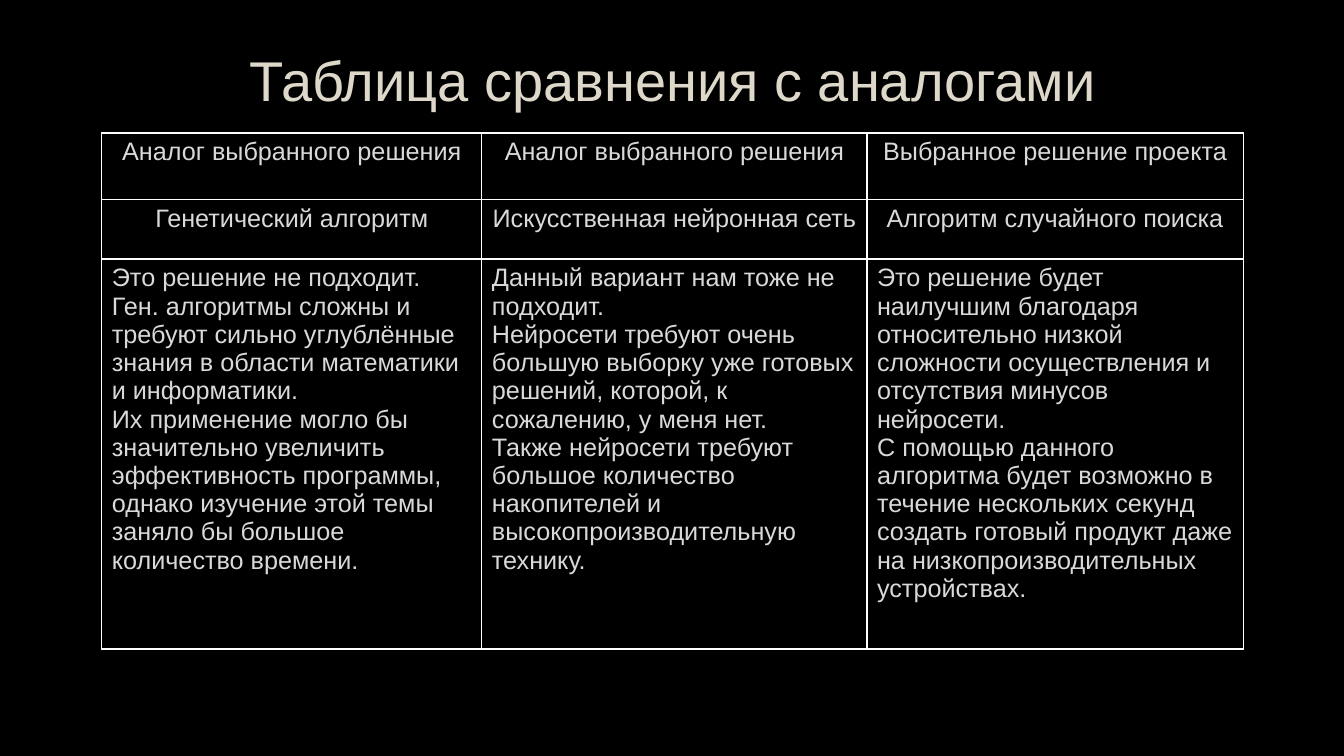
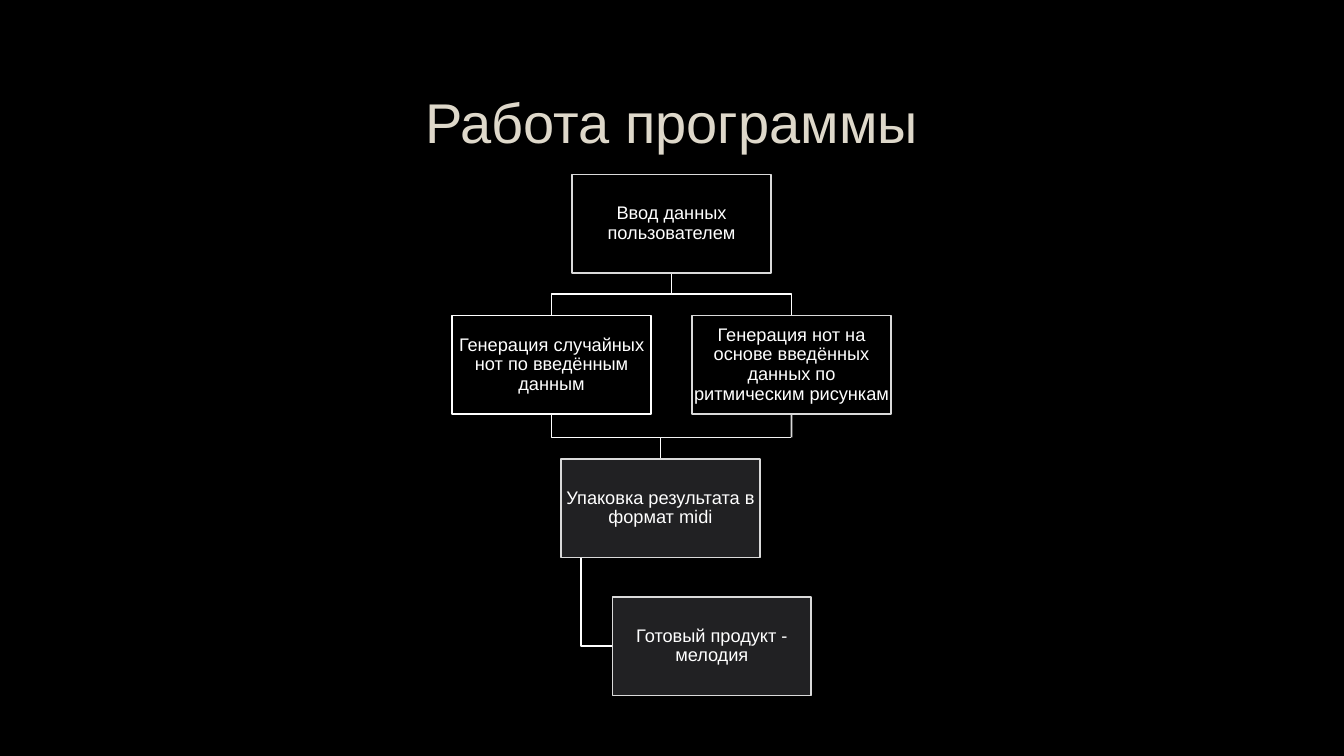
import pptx
import pptx.dml.color
import pptx.enum.shapes
import pptx.enum.text
import pptx.oxml
import pptx.oxml.ns
import pptx.util
from pptx.util import Inches

FONT = "Arial"
BLACK, WHITE = "000000", "FFFFFF"
TITLE_COLOR, CELL_COLOR = "DED8CA", "D9D9D9"
BOX_LINE, BOX_FILL = "DADADA", "212123"
MERGE_LINE, MERGE_DROP = "F2F2F2", "D9D9D9"
LINE_WIDTH = 1.25
BOTTOM = 2
CENTER = pptx.enum.text.PP_ALIGN.CENTER

COMPARISON_TITLE = "Таблица сравнения с аналогами"
COLUMN_WIDTHS = (3.77, 3.82, 3.73)
ROW_HEIGHTS = (0.66, 0.59, 3.87)
HEADER_ROWS = 2
COMPARISON = [
    [["Аналог выбранного решения"], ["Аналог выбранного решения"], ["Выбранное решение проекта"]],
    [["Генетический алгоритм"], ["Искусственная нейронная сеть"], ["Алгоритм случайного поиска"]],
    [
        [
            "Это решение не подходит.",
            "Ген. алгоритмы сложны и требуют сильно углублённые знания в области "
            "математики и информатики.",
            "Их применение могло бы значительно увеличить эффективность программы, "
            "однако изучение этой темы заняло бы большое количество времени.",
        ],
        [
            "Данный вариант нам тоже не подходит.",
            "Нейросети требуют очень большую выборку уже готовых решений, которой, "
            "к сожалению, у меня нет.",
            "Также нейросети требуют большое количество накопителей и "
            "высокопроизводительную технику.",
        ],
        [
            "Это решение будет наилучшим благодаря относительно низкой сложности "
            "осуществления и отсутствия минусов нейросети.",
            "С помощью данного алгоритма будет возможно в течение нескольких секунд "
            "создать готовый продукт даже на низкопроизводительных устройствах.",
        ],
    ],
]

WORKFLOW_TITLE = "Работа программы"
BOX_WIDTH, BOX_HEIGHT = 1.97, 0.98
# name: (text, centre x, top, fill, line)
STEPS = {
    "input": ("Ввод данных пользователем", 6.66, 1.73, None, BOX_LINE),
    "random": ("Генерация случайных нот по введённым данным", 5.47, 3.13, None, WHITE),
    "rhythm": ("Генерация нот на основе введённых данных по ритмическим рисункам",
               7.85, 3.13, None, BOX_LINE),
    "packing": ("Упаковка результата в формат midi", 6.55, 4.55, BOX_FILL, BOX_LINE),
    "melody": ("Готовый продукт - мелодия", 7.06, 5.92, BOX_FILL, BOX_LINE),
}
# upper box, height of the horizontal part, lower box
BENT_LINKS = [
    ("input", 2.92, "rhythm"),
    ("input", 2.92, "random"),
    ("random", 4.34, "packing"),
]
MERGE_Y = 4.34
MELODY_LINK_X = 5.76


def rgb(value):
    return pptx.dml.color.RGBColor.from_string(value)


def write_paragraphs(frame, texts, size, color, alignment=None, line_spacing=None):
    frame.word_wrap = True
    for index, text in enumerate(texts):
        paragraph = frame.add_paragraph() if index else frame.paragraphs[0]
        paragraph.alignment = alignment
        if line_spacing:
            paragraph.line_spacing = line_spacing
        run = paragraph.add_run()
        run.text = text
        run.font.name = FONT
        run.font.size = pptx.util.Pt(size)
        run.font.color.rgb = rgb(color)


def set_line(shape, color):
    shape.line.color.rgb = rgb(color)
    shape.line.width = pptx.util.Pt(LINE_WIDTH)


def add_titled_slide(presentation, title, left, top):
    slide = presentation.slides.add_slide(presentation.slide_layouts[6])
    box = slide.shapes.add_textbox(Inches(left), Inches(top), Inches(11.32), Inches(1.06))
    box.text_frame.vertical_anchor = pptx.enum.text.MSO_ANCHOR.MIDDLE
    write_paragraphs(box.text_frame, [title], 40, TITLE_COLOR, CENTER)
    return slide


def set_borders(cell, color, width):
    properties = cell._tc.get_or_add_tcPr()
    for side in ("lnL", "lnR", "lnT", "lnB"):
        properties.append(pptx.oxml.parse_xml(
            f'<a:{side} {pptx.oxml.ns.nsdecls("a")} w="{pptx.util.Pt(width)}">'
            f'<a:solidFill><a:srgbClr val="{color}"/></a:solidFill></a:{side}>'))


def add_comparison_table(slide):
    table = slide.shapes.add_table(
        len(ROW_HEIGHTS), len(COLUMN_WIDTHS), Inches(1.01), Inches(1.32),
        Inches(sum(COLUMN_WIDTHS)), Inches(sum(ROW_HEIGHTS))).table
    table.first_row = table.horz_banding = False
    for column, width in zip(table.columns, COLUMN_WIDTHS):
        column.width = Inches(width)
    for row_index, (row, height) in enumerate(zip(table.rows, ROW_HEIGHTS)):
        row.height = Inches(height)
        alignment = CENTER if row_index < HEADER_ROWS else None
        for cell, texts in zip(row.cells, COMPARISON[row_index]):
            set_borders(cell, WHITE, 1)
            cell.fill.background()
            write_paragraphs(cell.text_frame, texts, 18, CELL_COLOR, alignment)


def add_step(slide, text, center_x, top, fill, line):
    shape = slide.shapes.add_shape(
        pptx.enum.shapes.MSO_SHAPE.RECTANGLE, Inches(center_x - BOX_WIDTH / 2), Inches(top),
        Inches(BOX_WIDTH), Inches(BOX_HEIGHT))
    shape.shadow.inherit = False
    if fill:
        shape.fill.solid()
        shape.fill.fore_color.rgb = rgb(fill)
    else:
        shape.fill.background()
    set_line(shape, line)
    frame = shape.text_frame
    frame.margin_left = frame.margin_right = Inches(0.01)
    frame.margin_top = frame.margin_bottom = Inches(0.01)
    frame.vertical_anchor = pptx.enum.text.MSO_ANCHOR.MIDDLE
    write_paragraphs(frame, [text], 13, WHITE, CENTER, 0.9)
    return shape


def add_bent_line(slide, points):
    start, *corners = [(Inches(x), Inches(y)) for x, y in points]
    builder = slide.shapes.build_freeform(*start)
    builder.add_line_segments(corners, close=False)
    shape = builder.convert_to_shape()
    shape.shadow.inherit = False
    shape.fill.background()
    set_line(shape, WHITE)


def add_straight_line(slide, start, end, color):
    connector = slide.shapes.add_connector(
        pptx.enum.shapes.MSO_CONNECTOR.STRAIGHT, *map(Inches, start + end))
    set_line(connector, color)
    connector._element.spPr.append(
        pptx.oxml.parse_xml(f'<a:effectLst {pptx.oxml.ns.nsdecls("a")}/>'))
    return connector


def top_middle(name):
    _, center_x, top, _, _ = STEPS[name]
    return center_x, top


def bottom_middle(name):
    center_x, top = top_middle(name)
    return center_x, top + BOX_HEIGHT


def add_workflow(slide):
    for upper, middle_y, lower in BENT_LINKS:
        start, end = bottom_middle(upper), top_middle(lower)
        add_bent_line(slide, [start, (start[0], middle_y), (end[0], middle_y), end])

    melody_x, melody_top = top_middle("melody")
    melody_y = melody_top + BOX_HEIGHT / 2
    add_bent_line(slide, [(MELODY_LINK_X, bottom_middle("packing")[1]),
                          (MELODY_LINK_X, melody_y), (melody_x - BOX_WIDTH / 2, melody_y)])

    boxes = {name: add_step(slide, *step) for name, step in STEPS.items()}
    rhythm_bottom = bottom_middle("rhythm")
    corner = (rhythm_bottom[0], MERGE_Y)
    add_straight_line(slide, (top_middle("packing")[0], MERGE_Y), corner, MERGE_LINE)
    drop = add_straight_line(slide, rhythm_bottom, corner, MERGE_DROP)
    drop.begin_connect(boxes["rhythm"], BOTTOM)


def main():
    presentation = pptx.Presentation()
    presentation.slide_width, presentation.slide_height = Inches(13.33), Inches(7.5)
    background = presentation.slide_master.background.fill
    background.solid()
    background.fore_color.rgb = rgb(BLACK)
    add_comparison_table(add_titled_slide(presentation, COMPARISON_TITLE, 1.01, 0.26))
    add_workflow(add_titled_slide(presentation, WORKFLOW_TITLE, 1, 0.67))
    presentation.save("out.pptx")


if __name__ == "__main__":
    main()
